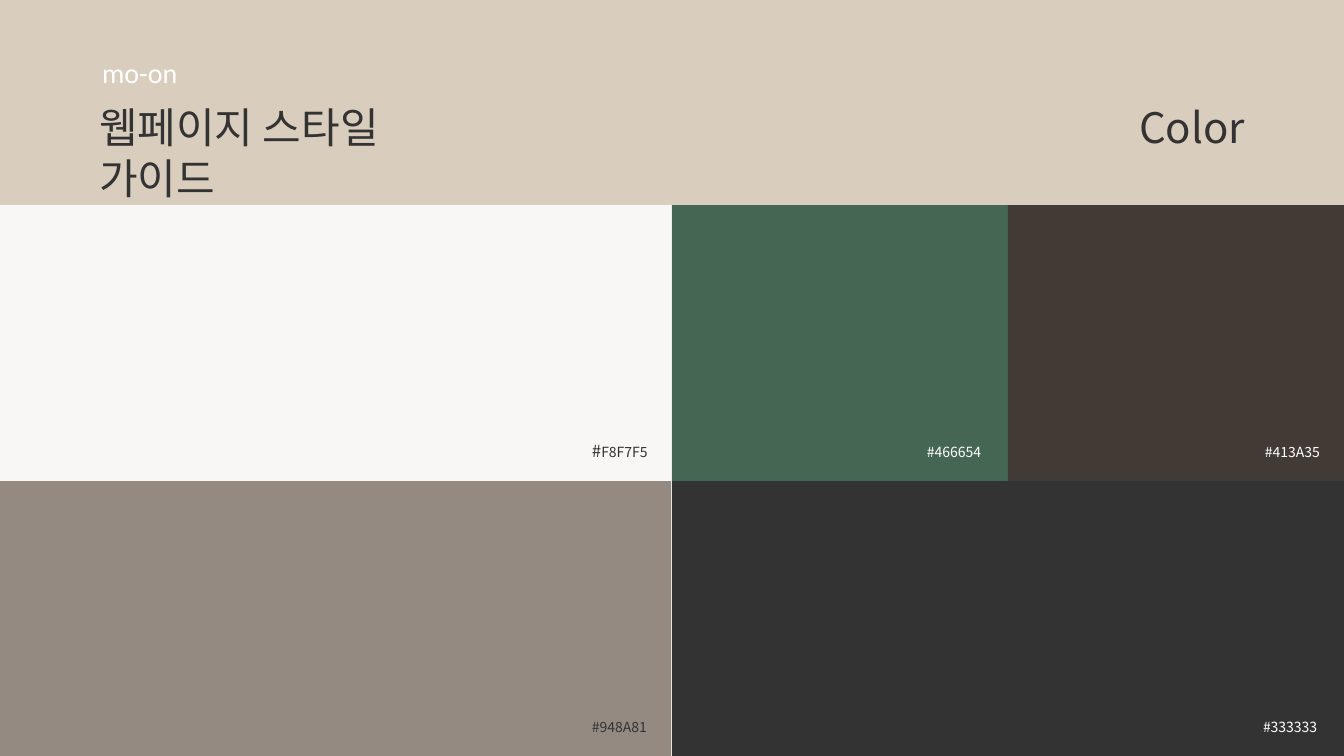
from pptx import Presentation
from pptx.dml.color import RGBColor
from pptx.enum.shapes import MSO_SHAPE
from pptx.enum.text import MSO_ANCHOR, MSO_AUTO_SIZE, PP_ALIGN
from pptx.oxml.ns import qn
from pptx.util import Pt
from lxml import etree

RECTANGLE = MSO_SHAPE.RECTANGLE
TOP = MSO_ANCHOR.TOP
NO_AUTOFIT = MSO_AUTO_SIZE.NONE
LEFT, RIGHT = PP_ALIGN.LEFT, PP_ALIGN.RIGHT

SAND = RGBColor(0xD9, 0xCD, 0xBD)
IVORY = RGBColor(0xF8, 0xF7, 0xF5)
GREEN = RGBColor(0x46, 0x66, 0x54)
BROWN = RGBColor(0x41, 0x3A, 0x35)
TAUPE = RGBColor(0x94, 0x8A, 0x81)
CHARCOAL = RGBColor(0x33, 0x33, 0x33)
WHITE = RGBColor(0xFF, 0xFF, 0xFF)

SANS = "Noto Sans CJK KR"
LATIN = "Calibri"

GUIDE_TITLE = "웹페이지 스타일 가이드"
PROJECT = "mo-on"
SECTION = "Color"

SLIDE_W, SLIDE_H = 1344, 756
HEADER_H = 205
ROW_SPLIT = 481
MIDDLE, THREE_QUARTERS = SLIDE_W // 2, SLIDE_W * 3 // 4
SIDE = 99
LABEL_PAD = 20

SWATCHES = [
    (TAUPE, (0, ROW_SPLIT, MIDDLE - 1, SLIDE_H), CHARCOAL, (79, 37), [("#948A81", 10)]),
    (IVORY, (0, HEADER_H, MIDDLE - 1, ROW_SPLIT), CHARCOAL, (79, 40), [("#", 12), ("F8F7F5", 10)]),
    (CHARCOAL, (MIDDLE, ROW_SPLIT, SLIDE_W, SLIDE_H), WHITE, (81, 37), [("#333333", 10)]),
    (GREEN, (MIDDLE, HEADER_H, THREE_QUARTERS, ROW_SPLIT), WHITE, (81, 37), [("#466654", 10)]),
    (BROWN, (THREE_QUARTERS, HEADER_H, SLIDE_W, ROW_SPLIT), WHITE, (79, 37), [("#413A35", 10)]),
]


def px(length):
    return round(length * 914400 / 100.8)


def add_block(slide, color, left, top, right, bottom):
    block = slide.shapes.add_shape(
        RECTANGLE, px(left), px(top), px(right - left), px(bottom - top))
    block.shadow.inherit = False
    block.fill.solid()
    block.fill.fore_color.rgb = color
    block.line.fill.background()


def write(holder, runs, color, font, insets, align=LEFT, wrap=True):
    frame = holder.text_frame
    frame.word_wrap = wrap
    frame.auto_size = NO_AUTOFIT
    frame.vertical_anchor = TOP
    frame.margin_left, frame.margin_top, frame.margin_right, frame.margin_bottom = map(px, insets)
    paragraph = frame.paragraphs[0]
    paragraph.alignment = align
    for words, size in runs:
        run = paragraph.add_run()
        run.text = words
        run.font.size = Pt(size)
        run.font.color.rgb = color
        run.font.name = font
        east_asian = etree.SubElement(run.font._element, qn("a:ea"))
        east_asian.set("typeface", font)


def add_text(slide, place, *args, **kwargs):
    holder = slide.shapes.add_textbox(*map(px, place))
    write(holder, *args, **kwargs)


def main():
    deck = Presentation()
    deck.slide_width, deck.slide_height = px(SLIDE_W), px(SLIDE_H)
    slide = deck.slides.add_slide(deck.slide_layouts[5])

    add_block(slide, SAND, 0, 0, SLIDE_W, HEADER_H)
    title = slide.shapes.title
    slide.shapes._spTree.append(title._element)
    title.left, title.top, title.width, title.height = map(px, (0, 90, 485, 62))
    write(title, [(GUIDE_TITLE, 30)], CHARCOAL, SANS, (SIDE, 12, 0, 0))
    add_text(slide, (3, 55, 350, 34), [(PROJECT, 20)], WHITE, LATIN, (SIDE, 0, 0, 0))
    add_text(slide, (SLIDE_W - 210, 90, 210, 62), [(SECTION, 30)], CHARCOAL, SANS,
             (0, 12, SIDE, 0), align=RIGHT)

    for color, edges, _, _, _ in SWATCHES:
        add_block(slide, color, *edges)
    for _, (_, _, right, bottom), ink, (width, height), code in SWATCHES:
        add_text(slide, (right - width, bottom - height, width, height), code, ink, SANS,
                 (0, 0, LABEL_PAD, LABEL_PAD), wrap=False)

    deck.save("out.pptx")


if __name__ == "__main__":
    main()
